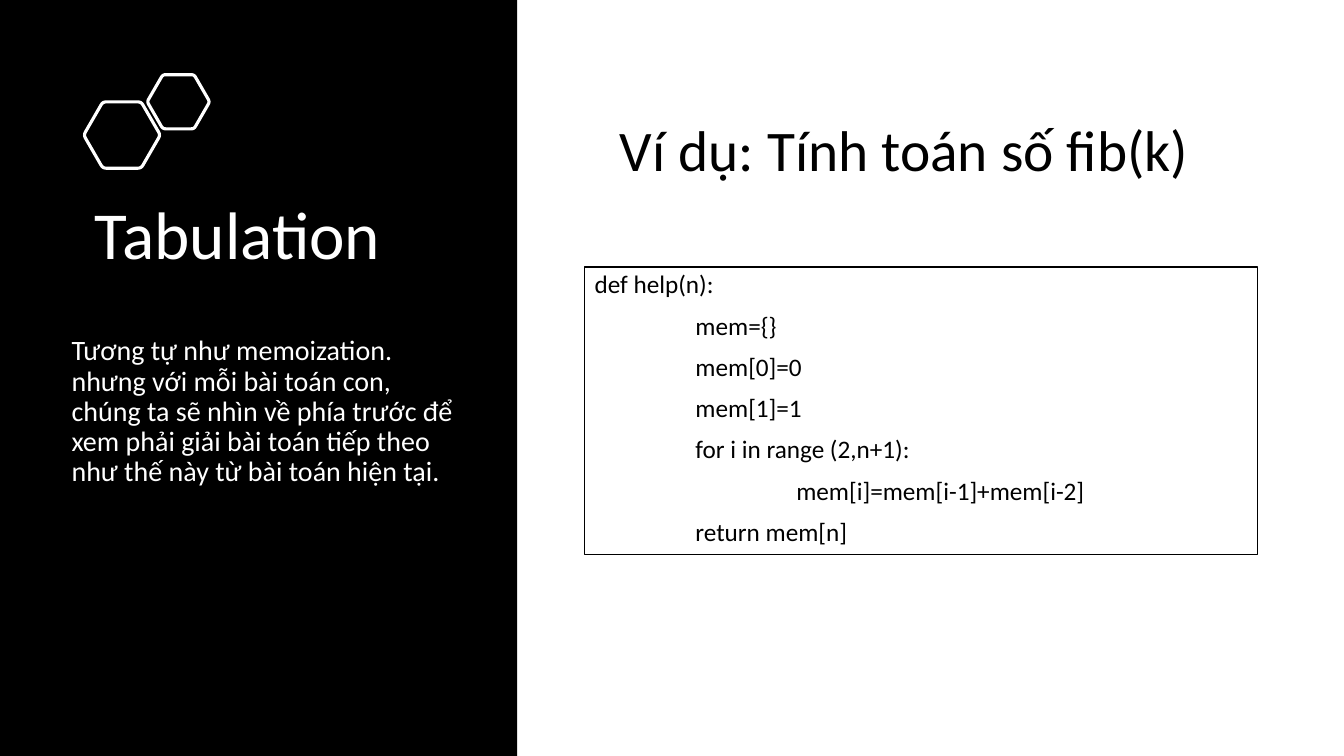
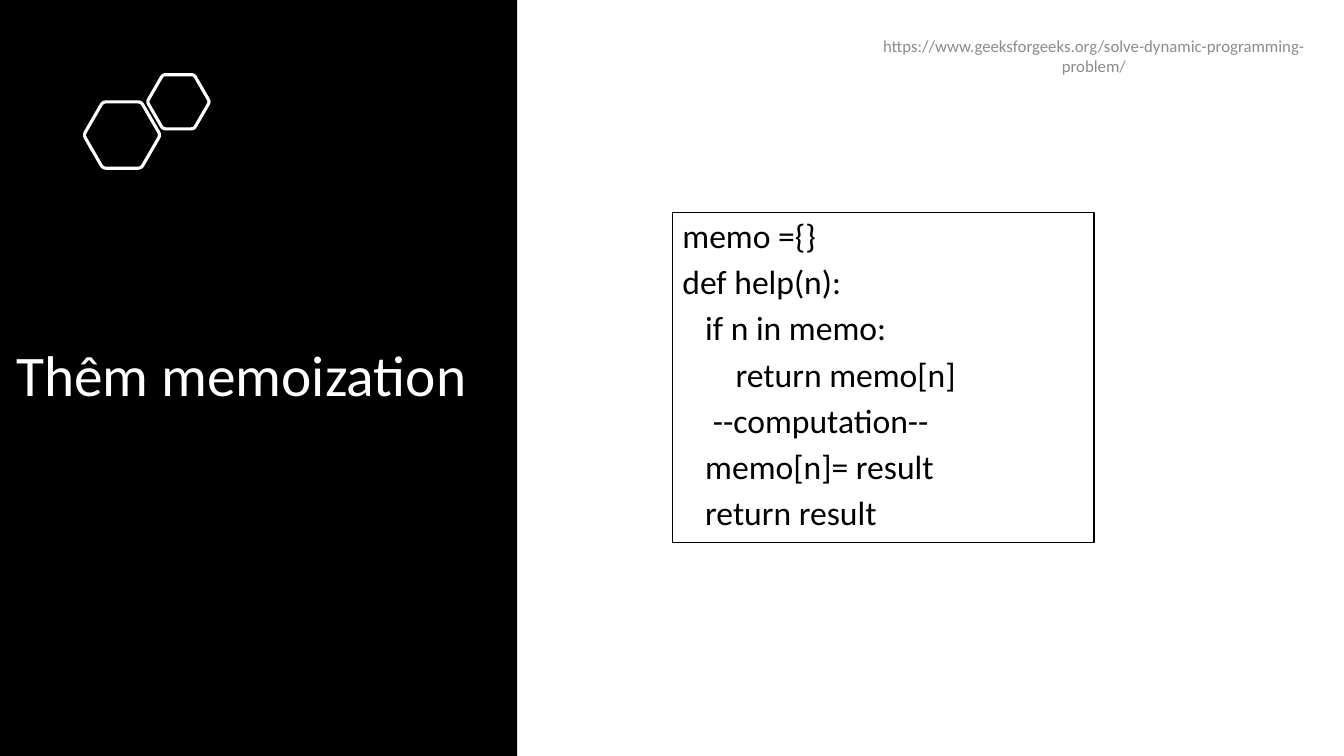
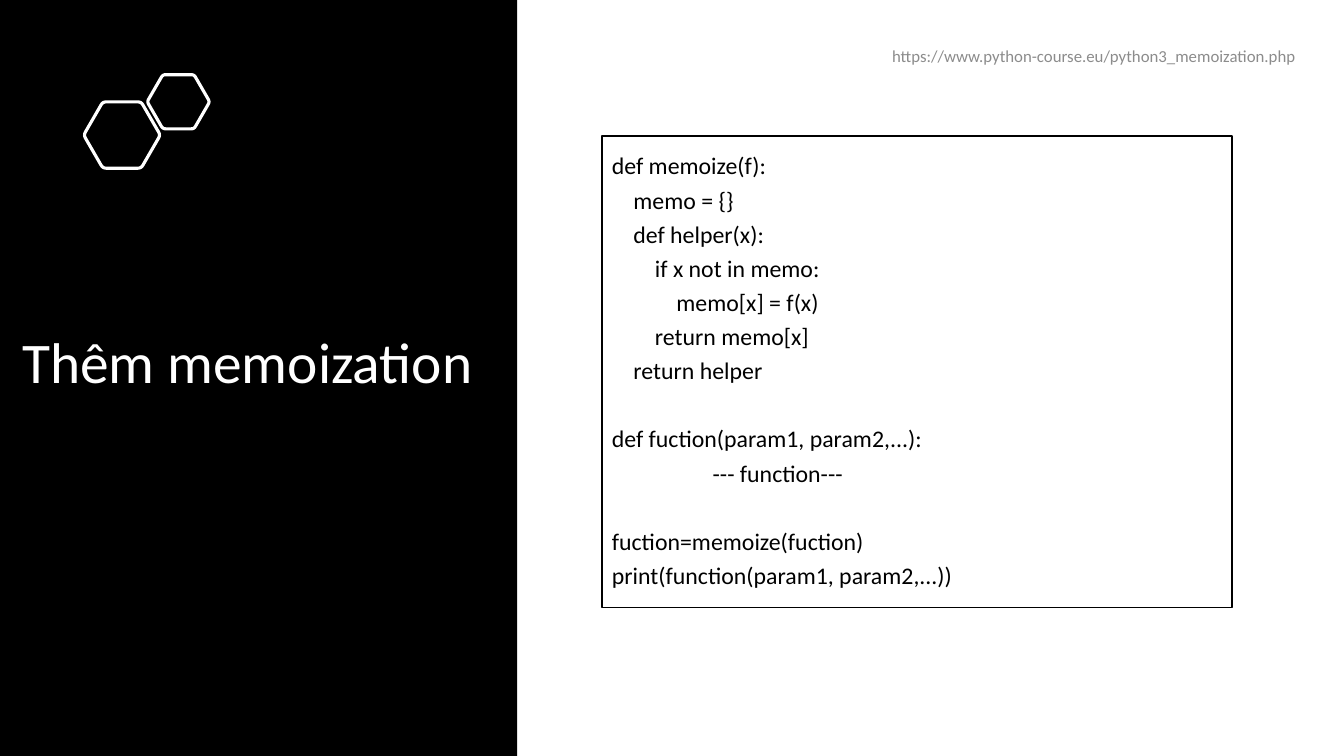
import math
from dataclasses import dataclass

import lxml.etree
import pptx
import pptx.dml.color
import pptx.enum.shapes
import pptx.enum.text
import pptx.oxml.ns
import pptx.util

Inches = pptx.util.Inches
Pt = pptx.util.Pt
Anchor = pptx.enum.text.MSO_ANCHOR
Align = pptx.enum.text.PP_ALIGN


@dataclass(frozen=True)
class Theme:
    font: str = "Calibri"
    dark: str = "000000"
    light: str = "FFFFFF"
    muted: str = "8C8C8C"
    large_title: float = 48
    title: float = 41
    body: float = 20
    source: float = 12
    tight: float = 0.9
    outline: float = 2.25
    frame: float = 1


THEME = Theme()
TITLE_ONLY, TITLE_AND_BODY = 5, 1
SLIDE_WIDTH, SLIDE_HEIGHT, PANEL_WIDTH = 13.33, 7.5, 5.13
SOURCE_BOX = (8.6, 0.35, 4.5, 0.4)
HEXAGONS = ((1.21, 1.34, 0.38), (1.77, 1.01, 0.31))
TAB_STOPS = (1, 2)

TABULATION_TEXT = (
    "Tương tự như memoization. nhưng với mỗi bài toán con, chúng ta sẽ nhìn về phía "
    "trước để xem phải giải bài toán tiếp theo như thế này từ bài toán hiện tại."
)
FIBONACCI_CODE = [[
    "def help(n):",
    "\tmem={}",
    "\tmem[0]=0",
    "\tmem[1]=1",
    "\tfor i in range (2,n+1):",
    "\t\tmem[i]=mem[i-1]+mem[i-2]",
    "\treturn mem[n]",
]]
MEMO_CODE = [[
    "memo ={}",
    "def help(n):",
    "   if n in memo:",
    "       return memo[n]",
    "    --computation--",
    "   memo[n]= result",
    "   return result",
]]
DECORATOR_CODE = [
    [
        "def memoize(f):",
        "    memo = {}",
        "    def helper(x):",
        "        if x not in memo:",
        "            memo[x] = f(x)",
        "        return memo[x]",
        "    return helper",
    ],
    ["def fuction(param1, param2,...):", "\t--- function---"],
    ["fuction=memoize(fuction)", "print(function(param1, param2,...))"],
]


def rgb(color):
    return pptx.dml.color.RGBColor.from_string(color)


def inches(box):
    return [Inches(length) for length in box]


def move(shape, box):
    shape.left, shape.top, shape.width, shape.height = inches(box)


def add_child(parent, tag, **attributes):
    return lxml.etree.SubElement(parent, pptx.oxml.ns.qn(tag), **attributes)


def remove_bullet(paragraph):
    properties = paragraph._p.get_or_add_pPr()
    properties.set("marL", "0")
    properties.set("indent", "0")
    add_child(properties, "a:buNone")


def add_tab_stops(paragraph):
    tabs = add_child(paragraph._p.get_or_add_pPr(), "a:tabLst")
    for stop in TAB_STOPS:
        add_child(tabs, "a:tab", pos=str(Inches(stop)), algn="l")


def format_paragraph(paragraph, size, color, spacing=THEME.tight, align=Align.LEFT):
    paragraph.alignment = align
    paragraph.line_spacing = spacing
    paragraph.space_before = paragraph.space_after = Pt(0)
    paragraph.font.name = THEME.font
    paragraph.font.size = Pt(size)
    paragraph.font.color.rgb = rgb(color)


def set_text(shape, text, size, color, anchor=Anchor.MIDDLE, **style):
    """Fill the shape with one plain paragraph without a bullet."""
    frame = shape.text_frame
    frame.text = text
    frame.word_wrap = True
    frame.auto_size = pptx.enum.text.MSO_AUTO_SIZE.NONE
    frame.vertical_anchor = anchor
    remove_bullet(frame.paragraphs[0])
    format_paragraph(frame.paragraphs[0], size, color, **style)


def add_rectangle(slide, box, fill):
    shape = slide.shapes.add_shape(pptx.enum.shapes.MSO_SHAPE.RECTANGLE, *inches(box))
    shape.shadow.inherit = False
    shape.fill.solid()
    shape.fill.fore_color.rgb = rgb(fill)
    return shape


def rounded_hexagon(center_x, center_y, radius):
    """Outline points of a regular hexagon whose corners are quadratic curves."""
    corners = [
        (center_x + radius * math.cos(math.pi * i / 3),
         center_y + radius * math.sin(math.pi * i / 3))
        for i in range(6)
    ]
    cut, steps = 0.09, 6
    points = []
    for i, corner in enumerate(corners):
        start, end = (
            [c + cut * (n - c) for c, n in zip(corner, neighbour)]
            for neighbour in (corners[i - 1], corners[(i + 1) % 6])
        )
        for step in range(steps + 1):
            t = step / steps
            points.append(tuple(
                Inches((1 - t) ** 2 * a + 2 * t * (1 - t) * c + t ** 2 * b)
                for a, c, b in zip(start, corner, end)
            ))
    return points


def add_hexagons(slide):
    group = slide.shapes.add_group_shape()
    for hexagon in HEXAGONS:
        points = rounded_hexagon(*hexagon)
        builder = group.shapes.build_freeform(*points[0])
        builder.add_line_segments(points[1:], close=True)
        shape = builder.convert_to_shape()
        shape.shadow.inherit = False
        shape.fill.background()
        shape.line.color.rgb = rgb(THEME.light)
        shape.line.width = Pt(THEME.outline)
    return group


def add_panel_slide(presentation, layout):
    """Add a slide with the dark panel and hexagons behind its placeholders."""
    slide = presentation.slides.add_slide(presentation.slide_layouts[layout])
    panel = add_rectangle(slide, (0, 0, PANEL_WIDTH, SLIDE_HEIGHT), THEME.dark)
    panel.line.fill.background()
    hexagons = add_hexagons(slide)
    for shape in (hexagons, panel):
        shape.element.getparent().insert(2, shape.element)
    return slide


def add_code(slide, box, blocks, size, anchor=Anchor.MIDDLE, spacing=THEME.tight,
             before=0, after=0, block_gap=0):
    """Add framed code; block_gap is the extra space after each block but the last."""
    shape = add_rectangle(slide, box, THEME.light)
    shape.line.color.rgb = rgb(THEME.dark)
    shape.line.width = Pt(THEME.frame)
    frame = shape.text_frame
    frame.word_wrap = True
    frame.vertical_anchor = anchor
    frame.text = "\n".join(line for block in blocks for line in block)
    paragraphs = frame.paragraphs
    for paragraph in paragraphs:
        add_tab_stops(paragraph)
        format_paragraph(paragraph, size, THEME.dark, spacing)
        paragraph.space_before = Pt(before)
        paragraph.space_after = Pt(after)
    paragraphs[0].space_before = Pt(0)
    last = -1
    for block in blocks[:-1]:
        last += len(block)
        paragraphs[last].space_after = Pt(after + block_gap)


def add_tabulation_slide(presentation):
    slide = add_panel_slide(presentation, TITLE_AND_BODY)
    title, body = slide.shapes.title, slide.placeholders[1]
    move(title, (0.84, 1.95, 3.92, 1.6))
    set_text(title, "Tabulation", THEME.large_title, THEME.light, Anchor.TOP)
    move(body, (0.61, 3.29, 4.15, 2.11))
    body.text_frame.margin_right = Inches(0.2)
    set_text(body, TABULATION_TEXT, THEME.body, THEME.light, Anchor.TOP)
    heading = slide.shapes.add_textbox(*inches((6.05, 1.03, 6.16, 0.97)))
    set_text(heading, "Ví dụ: Tính toán số fib(k)", THEME.title, THEME.dark)
    heading.text_frame.paragraphs[0].space_after = Pt(6)
    add_code(slide, (5.8, 2.65, 6.67, 2.85), FIBONACCI_CODE, 18, Anchor.TOP, before=10)


def add_memoization_slide(presentation, title_box, source, code_box, code, size, **code_style):
    slide = add_panel_slide(presentation, TITLE_ONLY)
    title = slide.shapes.title
    move(title, title_box)
    title.text_frame.margin_left = Inches(0.6)
    set_text(title, "Thêm memoization", THEME.title, THEME.light)
    add_code(slide, code_box, code, size, **code_style)
    source_box = slide.shapes.add_textbox(*inches(SOURCE_BOX))
    set_text(source_box, source, THEME.source, THEME.muted, spacing=1.0, align=Align.CENTER)


def main():
    presentation = pptx.Presentation()
    presentation.slide_width = Inches(SLIDE_WIDTH)
    presentation.slide_height = Inches(SLIDE_HEIGHT)
    add_tabulation_slide(presentation)
    add_memoization_slide(
        presentation, (-0.44, 1.41, 6.01, 4.68),
        "https://www.geeksforgeeks.org/solve-dynamic-programming-problem/",
        (6.67, 2.11, 4.18, 3.27), MEMO_CODE, 24, spacing=0.8, before=10)
    add_memoization_slide(
        presentation, (-0.38, 1.28, 5.6, 4.68),
        "https://www.python-course.eu/python3_memoization.php",
        (5.97, 1.35, 6.25, 4.68), DECORATOR_CODE, 17, after=6, block_gap=24.4)
    presentation.save("out.pptx")


if __name__ == "__main__":
    main()
